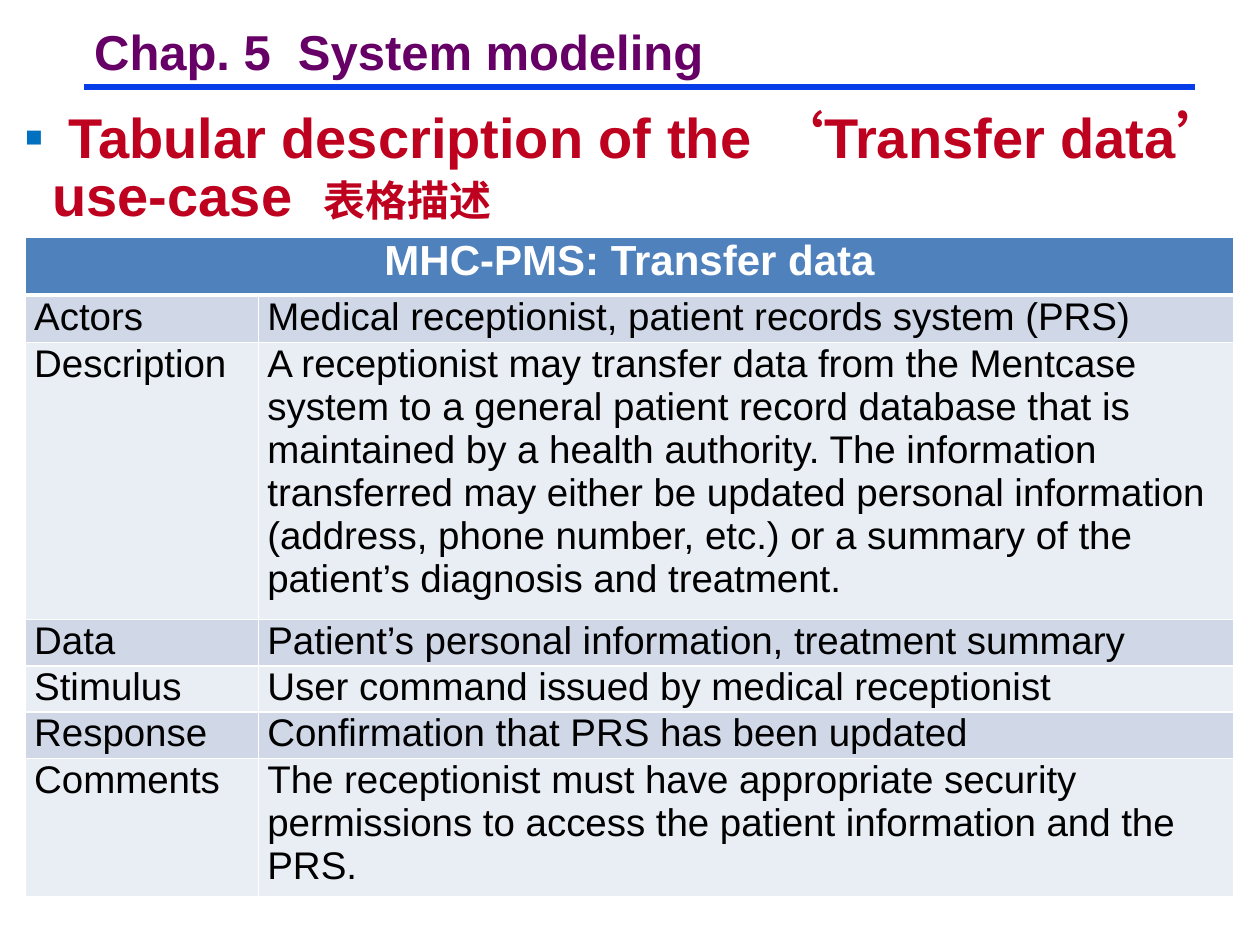
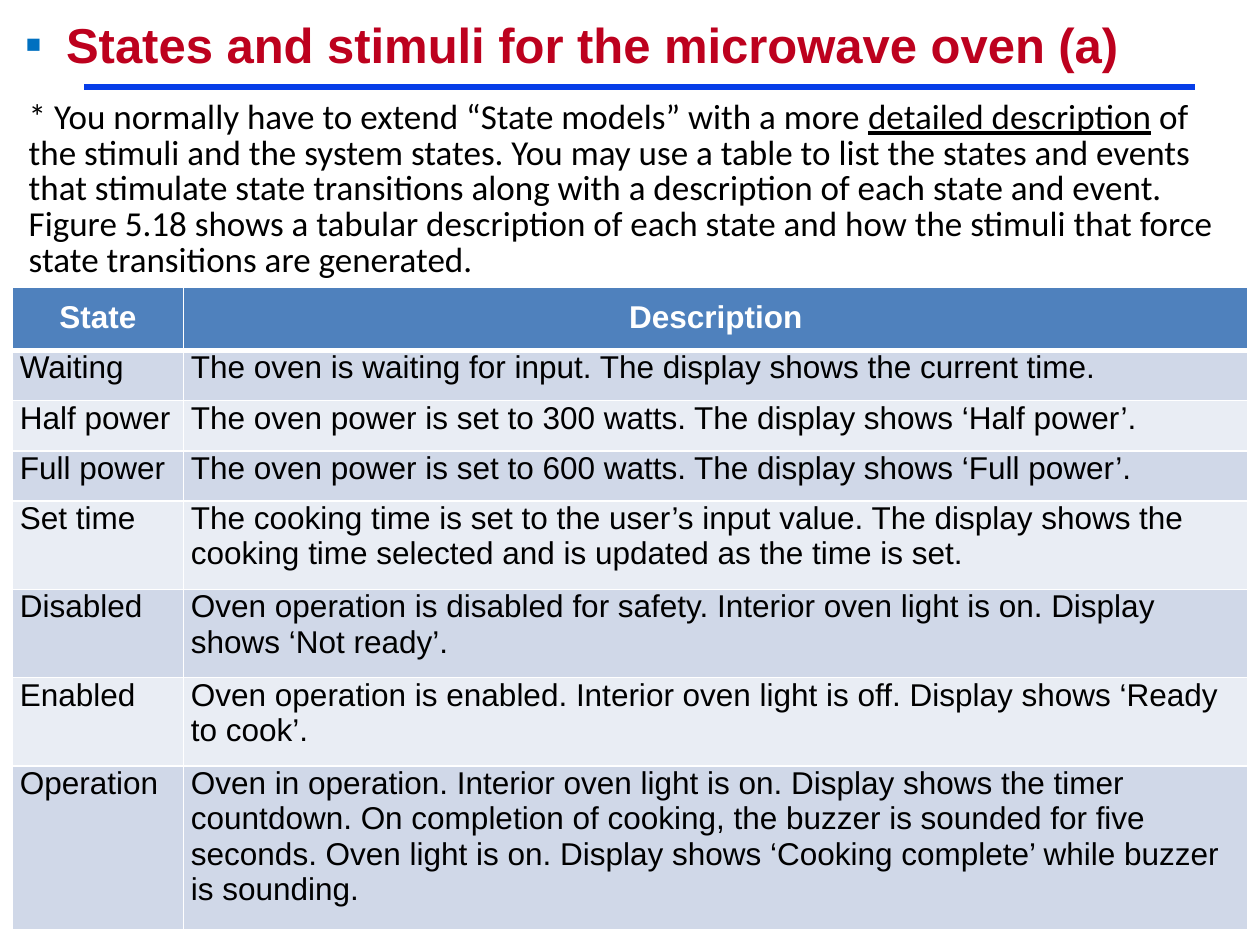
from lxml import etree
from pptx import Presentation
from pptx.dml.color import RGBColor
from pptx.enum.shapes import MSO_CONNECTOR
from pptx.enum.text import MSO_ANCHOR, PP_ALIGN
from pptx.oxml.ns import qn
from pptx.util import Cm, Pt

STRAIGHT = MSO_CONNECTOR.STRAIGHT
TOP = MSO_ANCHOR.TOP
CENTER = PP_ALIGN.CENTER
LEFT = PP_ALIGN.LEFT

PURPLE, RED, BLUE, RULE = "660066", "BD011E", "0070C0", "063DE8"
BLACK, WHITE, HEADER = "000000", "FFFFFF", "4F81BD"
BANDS = ("D0D8E8", "E9EDF4")
LATIN, BODY, CHINESE = "Arial", "Calibri", "Noto Sans CJK SC"

TRANSFER_ROWS = [
    ("MHC-PMS: Transfer data", ""),
    ("Actors", "Medical receptionist, patient records system (PRS)"),
    ("Description",
     "A receptionist may transfer data from the Mentcase system to a general "
     "patient record database that is maintained by a health authority. The "
     "information transferred may either be updated personal information "
     "(address, phone number, etc.) or a summary of the patient’s diagnosis "
     "and treatment."),
    ("Data", "Patient’s personal information, treatment summary"),
    ("Stimulus", "User command issued by medical receptionist"),
    ("Response", "Confirmation that PRS has been updated"),
    ("Comments",
     "The receptionist must have appropriate security permissions to access "
     "the patient information and the PRS."),
]

OVEN_ROWS = [
    ("State", "Description"),
    ("Waiting",
     "The oven is waiting for input. The display shows the current time."),
    ("Half power",
     "The oven power is set to 300 watts. The display shows ‘Half power’."),
    ("Full power",
     "The oven power is set to 600 watts. The display shows ‘Full power’."),
    ("Set time",
     "The cooking time is set to the user’s input value. The display shows "
     "the cooking time selected and is updated as the time is set."),
    ("Disabled",
     "Oven operation is disabled for safety. Interior oven light is on. "
     "Display shows ‘Not ready’."),
    ("Enabled",
     "Oven operation is enabled. Interior oven light is off. Display shows "
     "‘Ready to cook’."),
    ("Operation",
     "Oven in operation. Interior oven light is on. Display shows the timer "
     "countdown. On completion of cooking, the buzzer is sounded for five "
     "seconds. Oven light is on. Display shows ‘Cooking complete’ while "
     "buzzer is sounding."),
]


def color(value):
    return RGBColor.from_string(value)


def style(font, name, size, ink, bold=False):
    font.name, font.size, font.bold = name, Pt(size), bold
    font.color.rgb = color(ink)


def add_box(page, box):
    """Add a wrapping text box and return its first paragraph."""
    frame = page.shapes.add_textbox(*map(Cm, box)).text_frame
    frame.word_wrap = True
    return frame.paragraphs[0]


def add_span(para, text):
    span = para.add_run()
    span.text = text
    return span


def add_page(deck):
    """Add a blank page with the rule that all pages share."""
    page = deck.slides.add_slide(deck.slide_layouts[6])
    rule = page.shapes.add_connector(
        STRAIGHT, Cm(1.7), Cm(1.75), Cm(24.08), Cm(1.75))
    rule.line.color.rgb = color(RULE)
    rule.line.width = Pt(3.75)
    etree.SubElement(rule._element.spPr, qn("a:effectLst"))
    return page


def add_bullet_heading(page, box, size):
    """Add an empty red heading with a blue square bullet."""
    para = add_box(page, box)
    properties = para._p.get_or_add_pPr()
    properties.set("marL", str(Cm(0.56)))
    properties.set("indent", str(-Cm(0.56)))
    tint = etree.SubElement(properties, qn("a:buClr"))
    etree.SubElement(tint, qn("a:srgbClr"), val=BLUE)
    etree.SubElement(properties, qn("a:buFont"), typeface=LATIN)
    etree.SubElement(properties, qn("a:buChar"), char="▪")
    style(para.font, LATIN, size, RED, bold=True)
    return para


def use_chinese_font(span):
    span.font.name = CHINESE
    etree.SubElement(span.font._element, qn("a:ea"), typeface=CHINESE)


def set_borders(cell, **widths):
    properties = cell._tc.get_or_add_tcPr()
    for index, side in enumerate("LRTB"):
        width = Pt(widths.get(side, 1))
        line = etree.Element(qn(f"a:ln{side}"), w=str(width))
        fill = etree.SubElement(line, qn("a:solidFill"))
        etree.SubElement(fill, qn("a:srgbClr"), val=WHITE)
        properties.insert(index, line)


def add_banded_table(page, corner, widths, heights, rows, sizes, side, pads):
    """sizes are (header, body) points; pads are (header top, bottom) margins."""
    shape = page.shapes.add_table(
        len(rows), len(widths), *map(Cm, corner),
        Cm(sum(widths)), Cm(sum(heights)))
    table = shape.table
    for column, width in zip(table.columns, widths):
        column.width = Cm(width)
    for r, (row, height) in enumerate(zip(rows, heights)):
        table.rows[r].height = Cm(height)
        header = r == 0
        for c, text in enumerate(row):
            cell = table.cell(r, c)
            cell.fill.solid()
            cell.fill.fore_color.rgb = color(
                HEADER if header else BANDS[(r - 1) % 2])
            set_borders(cell, T=3 if r == 1 else 1, B=3 if header else 1)
            cell.margin_left = cell.margin_right = Cm(side)
            cell.margin_top = Cm(pads[0] if header else 0)
            cell.margin_bottom = Cm(pads[1])
            cell.vertical_anchor = TOP
            cell.text = text
            para = cell.text_frame.paragraphs[0]
            para.alignment = CENTER if header else LEFT
            style(para.font, LATIN, sizes[0] if header else sizes[1],
                  WHITE if header else BLACK, bold=header)
    return table


def build_use_case_page(deck):
    page = add_page(deck)
    title = add_box(page, (1.65, 0.47, 14, 1.17))
    title.line_spacing = 0.87
    style(title.font, LATIN, 28, PURPLE, bold=True)
    add_span(title, "Chap. 5  System modeling")

    heading = add_bullet_heading(page, (0.25, 2.13, 24.94, 2.51), 32)
    heading.line_spacing = Pt(33)
    add_span(heading, " Tabular description of the ")
    use_chinese_font(add_span(heading, "‘"))
    add_span(heading, "Transfer data")
    use_chinese_font(add_span(heading, "’"))
    add_span(heading, " use-case  ")
    caption = add_span(heading, "表格描述")
    use_chinese_font(caption)
    caption.font.size = Pt(24)

    table = add_banded_table(
        page, (0.51, 4.79), (4.7, 19.66),
        (1.16, 0.95, 5.59, 0.93, 0.93, 0.93, 2.8),
        TRANSFER_ROWS, (24, 22), 0.18, (0, 0))
    table.cell(0, 0).merge(table.cell(0, 1))


def build_states_page(deck):
    page = add_page(deck)
    heading = add_bullet_heading(page, (0.25, 0.17, 24.94, 1.42), 28)
    add_span(heading, " States and stimuli for the microwave oven (a)")

    add_banded_table(
        page, (0.25, 5.8), (3.45, 21.46),
        (1.26, 1.01, 1.01, 1.01, 1.78, 1.78, 1.78, 3.3),
        OVEN_ROWS, (18, 18), 0.15, (0.25, 0.25))

    note = add_box(page, (0.33, 1.91, 24.82, 3.78))
    note.line_spacing = 0.85
    style(note.font, BODY, 20, BLACK)
    add_span(note, "* You normally have to extend “State models” with a more ")
    add_span(note, "detailed description").font.underline = True
    add_span(
        note,
        " of the stimuli and the system states. You may use a table to list "
        "the states and events that stimulate state transitions along with a "
        "description of each state and event. Figure 5.18 shows a tabular "
        "description of each state and how the stimuli that force state "
        "transitions are generated.")


def main():
    deck = Presentation()
    deck.slide_width, deck.slide_height = Cm(25.4), Cm(19.05)
    build_use_case_page(deck)
    build_states_page(deck)
    deck.save("out.pptx")


if __name__ == "__main__":
    main()
